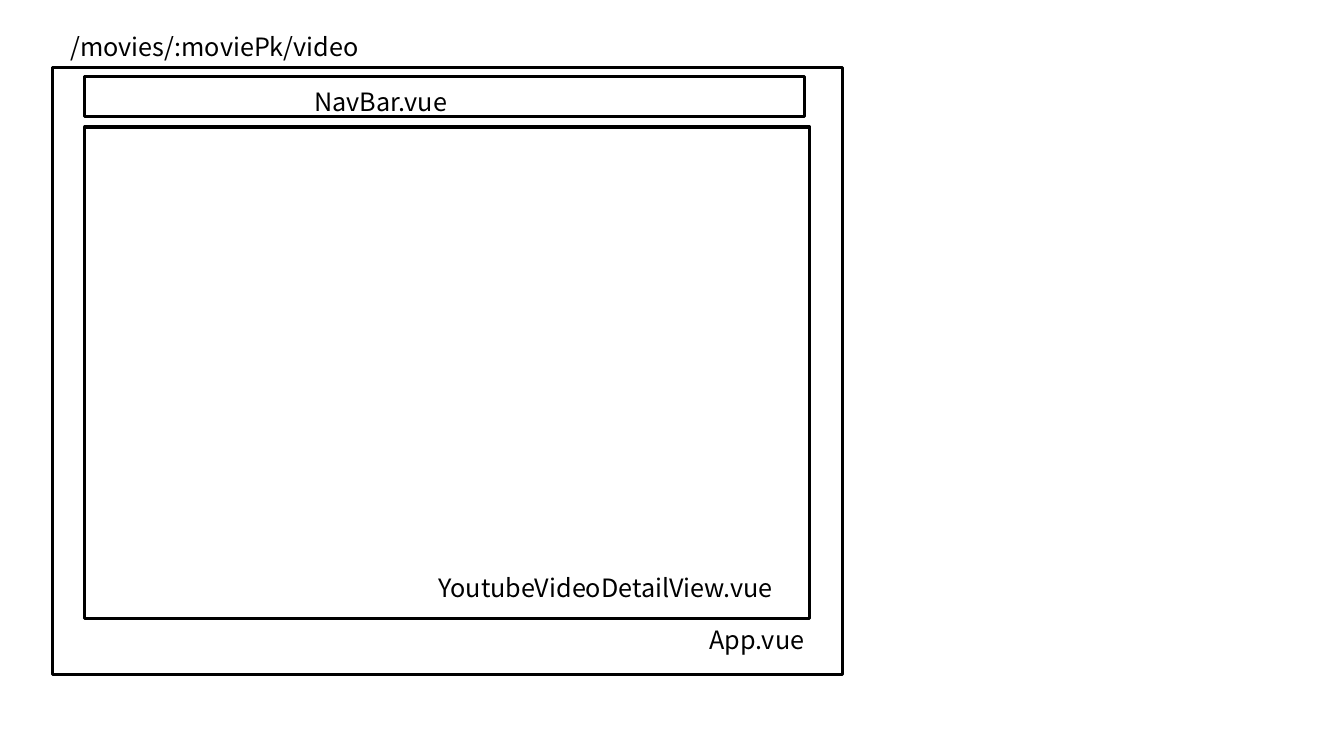
"""Build the component layout slide for the movie video route."""
import dataclasses

import pptx
import pptx.dml.color
import pptx.enum.shapes
import pptx.enum.text
import pptx.util

PX = 9144


@dataclasses.dataclass(frozen=True)
class Theme:
    """Colours, font and sizes used on the slide."""
    ink: pptx.dml.color.RGBColor = pptx.dml.color.RGBColor(0, 0, 0)
    font: str = "Noto Sans CJK KR"
    text_size: float = 18
    line_width: float = 2.25


THEME = Theme()


def px(*lengths):
    """Turn pixel lengths into EMU."""
    return [pptx.util.Emu(n * PX) for n in lengths]


def add_frame(shapes, left, top, width, height):
    """Add an unfilled outlined rectangle for a component."""
    sp = shapes.add_shape(pptx.enum.shapes.MSO_SHAPE.RECTANGLE,
                          *px(left, top, width, height))
    sp.shadow.inherit = False
    sp.fill.background()
    sp.line.color.rgb = THEME.ink
    sp.line.width = pptx.util.Pt(THEME.line_width)
    return sp


def add_label(shapes, text, left, top, width, height=40):
    """Add a one-line text label."""
    sp = shapes.add_textbox(*px(left, top, width, height))
    tf = sp.text_frame
    tf.word_wrap = True
    tf.auto_size = pptx.enum.text.MSO_AUTO_SIZE.SHAPE_TO_FIT_TEXT
    r = tf.paragraphs[0].add_run()
    r.text = text
    r.font.name = THEME.font
    r.font.size = pptx.util.Pt(THEME.text_size)
    r.font.color.rgb = THEME.ink
    return sp


def main():
    """Build and save the slide."""
    prs = pptx.Presentation()
    prs.slide_width, prs.slide_height = px(1333, 750)
    s = prs.slides.add_slide(prs.slide_layouts[6])

    app = s.shapes.add_group_shape()
    add_frame(app.shapes, 52, 67, 784, 602)
    add_label(app.shapes, "App.vue", 694, 614, 221, 87)

    add_label(s.shapes, "/movies/:moviePk/video", 60, 26, 379)
    add_label(s.shapes, "YoutubeVideoDetailView.vue", 425, 563, 373)
    add_frame(s.shapes, 84, 76, 714, 40)
    add_label(s.shapes, "NavBar.vue", 302, 81, 193)
    add_frame(s.shapes, 84, 126, 719, 488)

    prs.save("out.pptx")


if __name__ == "__main__":
    main()
